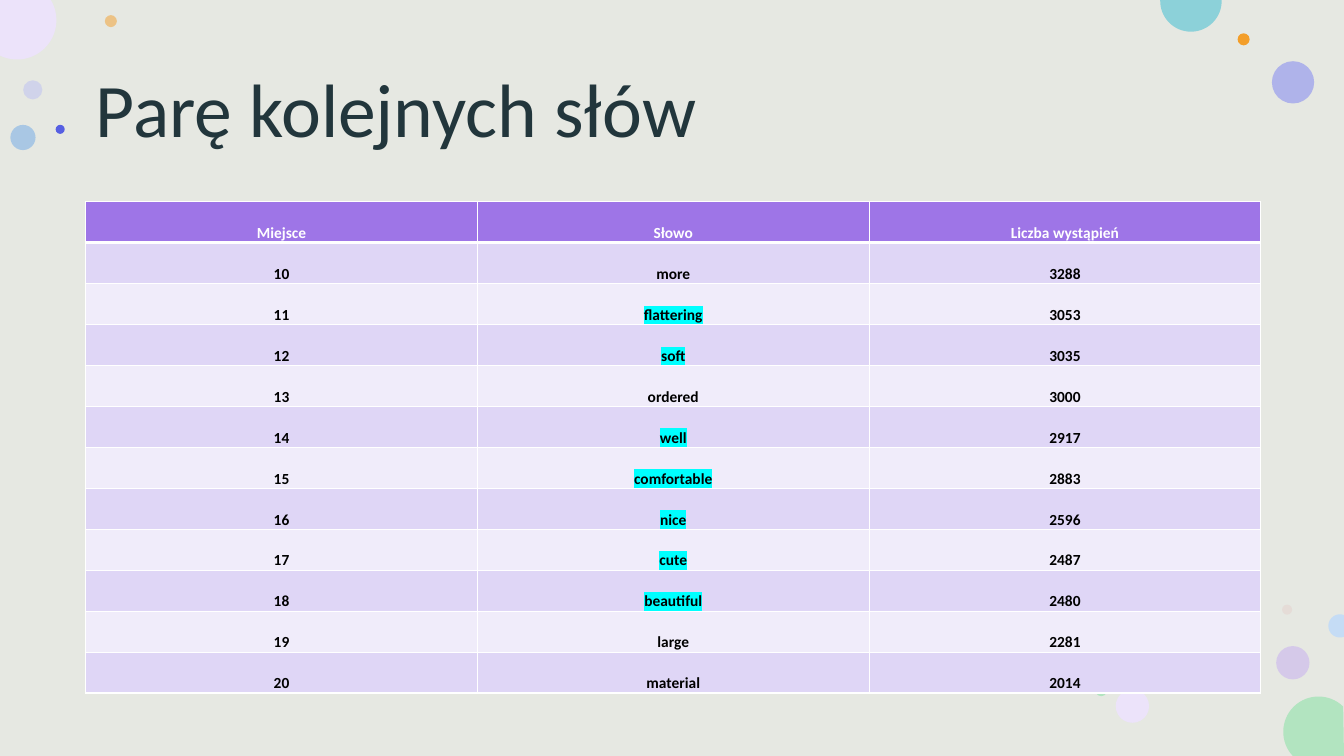
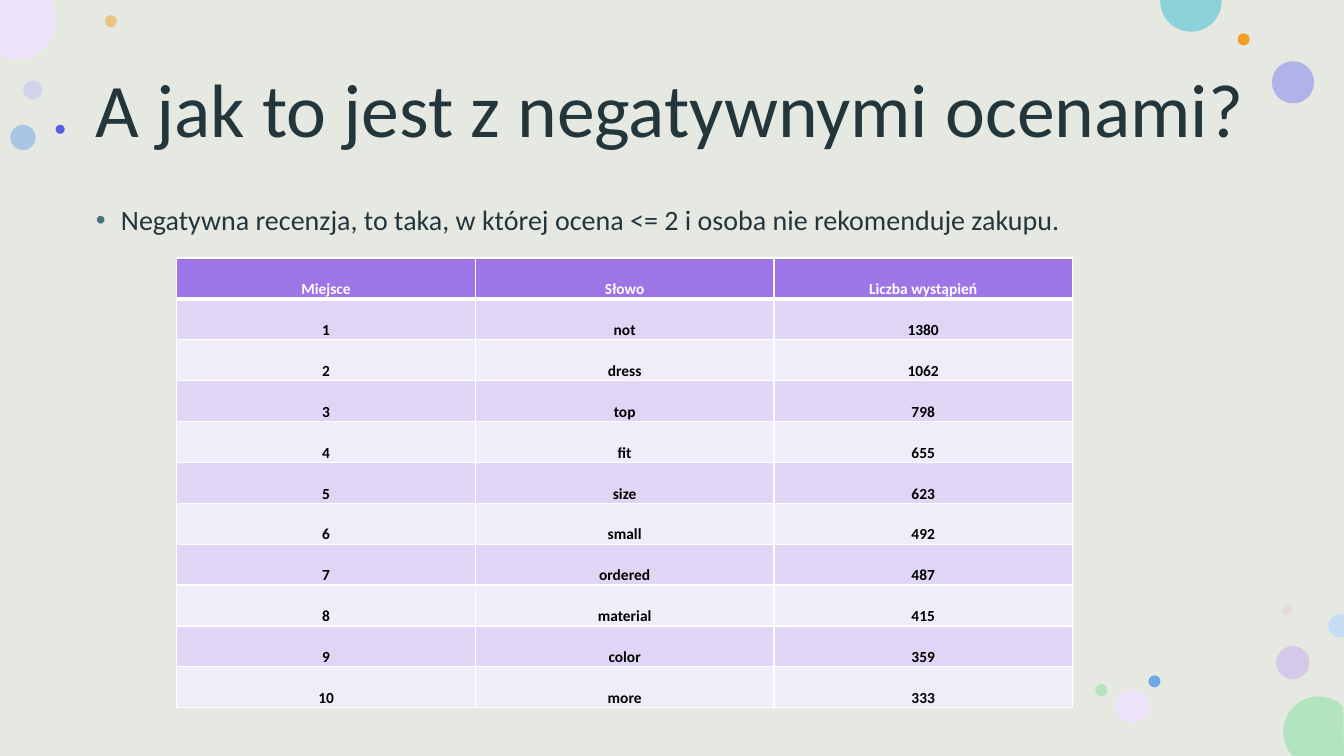
"""Build two slides of word counts on a shared background of bubbles."""
from dataclasses import dataclass
from math import cos, pi, radians, sin, tan

from lxml import etree
from pptx import Presentation
from pptx.dml.color import RGBColor
from pptx.enum import shapes, text
from pptx.oxml import ns
from pptx.util import Pt


@dataclass(frozen=True)
class Theme:
    font: str = "Calibri"
    title_size: int = 54
    body_size: int = 20
    cell_size: int = 11
    background: str = "E6E8E2"
    ink: str = "22363C"
    bullet: str = "48727E"
    header: str = "9E75E7"
    bands: tuple = ("DFD6F6", "F0ECFA")
    rule: str = "FFFFFF"
    header_text: str = "FFFFFF"
    cell_text: str = "000000"
    highlight: str = "00FFFF"


THEME = Theme()
WIDTH, HEIGHT = 960, 540
TITLE_BOX = (61.2, 28.8, 839.5, 104.4)
BODY_BOX = (61.2, 144, 839.5, 342.7)
TITLE_AND_BODY, TITLE_ONLY = 1, 5

# centre x, centre y, diameter, colour, opacity in percent
BUBBLES = [
    (23.4, 64.2, 13.7, "BBBFF3", 50),
    (79.2, 15.1, 8.6, "F39E29", 50),
    (923.5, 473.4, 23.8, "C5ACF1", 50),
    (16.4, 98.2, 18, "6EA8E6", 50),
    (923.6, 58.8, 30.2, "9A9FEE", 72),
    (888.3, 28.1, 8.6, "F39E29", 100),
    (919.4, 435.5, 7.2, "E3BEBE", 28),
    (824.6, 486.7, 8.6, "6EA8E6", 100),
    (808.9, 504.4, 23.8, "ECE3FA", 100),
    (786.6, 493, 8.6, "B2E4C0", 100),
    (43, 92.4, 6.5, "565FE2", 100),
]
# centre x, centre y, diameter, colour, first and last angle of the arc, corner it reaches
EDGE_BUBBLES = [
    (941.8, 522.7, 50.4, "B2E4C0", 136.7, 314.4, [(WIDTH, HEIGHT)]),
    (12.2, 14.4, 56.2, "ECE3FA", -30.9, 115.8, [(0, 0)]),
    (850.7, 0.7, 43.9, "8CD1D9", -1.8, 181.8, []),
    (957.1, 447.1, 16.6, "C5DCF5", 69.6, 290.4, []),
]

HEADINGS = ("Miejsce", "Słowo", "Liczba wystąpień")
SLIDES = [
    {
        "title": "Parę kolejnych słów",
        "first_place": 10,
        "counts": [
            ("more", 3288), ("flattering", 3053), ("soft", 3035), ("ordered", 3000),
            ("well", 2917), ("comfortable", 2883), ("nice", 2596), ("cute", 2487),
            ("beautiful", 2480), ("large", 2281), ("material", 2014),
        ],
        "highlighted": {"flattering", "soft", "well", "comfortable", "nice", "cute", "beautiful"},
        "table_at": (61.2, 144, 839.5, 351.2),
    },
    {
        "title": "A jak to jest z negatywnymi ocenami?",
        "body": "Negatywna recenzja, to taka, w której ocena <= 2 i osoba nie rekomenduje zakupu.",
        "first_place": 1,
        "counts": [
            ("not", 1380), ("dress", 1062), ("top", 798), ("fit", 655), ("size", 623),
            ("small", 492), ("ordered", 487), ("material", 415), ("color", 359), ("more", 333),
        ],
        "highlighted": set(),
        "table_at": (126.3, 184.3, 639.8, 321.2),
    },
]


def rgb(colour):
    """Turn a hex string into a colour."""
    return RGBColor.from_string(colour)


def add_xml(parent, tag, **attributes):
    """Append a drawing element to a parent."""
    names = {name: str(value) for name, value in attributes.items()}
    return etree.SubElement(parent, ns.qn(f"a:{tag}"), names)


def format_run(paragraph, size, colour, bold=False):
    """Give the only run of a paragraph its type."""
    font = paragraph.runs[0].font
    font.size, font.bold, font.name = Pt(size), bold, THEME.font
    font.color.rgb = rgb(colour)


def fill_placeholder(placeholder, words, box, size, anchor):
    """Place a placeholder, set its words and return the paragraph."""
    placeholder.left, placeholder.top, placeholder.width, placeholder.height = map(Pt, box)
    frame = placeholder.text_frame
    frame.text = words
    frame.word_wrap, frame.auto_size = True, text.MSO_AUTO_SIZE.NONE
    frame.vertical_anchor = anchor
    paragraph = frame.paragraphs[0]
    paragraph.alignment, paragraph.line_spacing = text.PP_ALIGN.LEFT, 0.9
    format_run(paragraph, size, THEME.ink)
    return paragraph


def add_bullet(paragraph):
    """Give a paragraph a hanging, coloured bullet."""
    paragraph.space_before = Pt(10)
    properties = paragraph._p.get_or_add_pPr()
    properties.set("marL", str(Pt(18)))
    properties.set("indent", str(-Pt(18)))
    add_xml(add_xml(properties, "buClr"), "srgbClr", val=THEME.bullet)
    add_xml(properties, "buFont", typeface="Arial")
    add_xml(properties, "buChar", char="•")


def paint(shape, colour, opacity=100):
    """Fill a shape with one colour and drop its line and shadow."""
    shape.shadow.inherit = False
    shape.line.fill.background()
    shape.fill.solid()
    shape.fill.fore_color.rgb = rgb(colour)
    if opacity < 100:
        solid = shape._element.spPr.find(ns.qn("a:solidFill"))
        add_xml(solid[0], "alpha", val=opacity * 1000)


def add_bubble(group, x, y, diameter, colour, opacity):
    """Draw a whole circle."""
    corner = Pt(x - diameter / 2), Pt(y - diameter / 2)
    bubble = group.shapes.add_shape(shapes.MSO_SHAPE.OVAL, *corner, Pt(diameter), Pt(diameter))
    paint(bubble, colour, opacity)


def add_edge_bubble(group, x, y, diameter, colour, first, last, corners):
    """Draw a circle cut off by the slide edge, its arc made of two curves."""
    radius, start, half = diameter / 2, radians(first), radians(last - first) / 2

    def on_arc(angle, handle=0.0):
        return (x + radius * (cos(angle) - handle * sin(angle)),
                y + radius * (sin(angle) + handle * cos(angle)))

    middle, end = start + half, start + 2 * half
    quarters = [step * pi / 2 for step in range(-1, 5) if start < step * pi / 2 < end]
    across, down = zip(*map(on_arc, [start, *quarters, end]), *corners) if not corners else zip(
        *[on_arc(angle) for angle in [start, *quarters, end]], *corners)
    left, right = max(min(across), 0), min(max(across), WIDTH)
    top, bottom = max(min(down), 0), min(max(down), HEIGHT)
    builder = group.shapes.build_freeform(Pt(left), Pt(top))
    builder.add_line_segments([(Pt(right), Pt(top)), (Pt(right), Pt(bottom)),
                               (Pt(left), Pt(bottom))], close=True)
    bubble = builder.convert_to_shape()

    outline = bubble._element.spPr.find(f".//{ns.qn('a:path')}")
    for step in list(outline):
        outline.remove(step)

    def add_step(tag, *points):
        step = add_xml(outline, tag)
        for across_to, down_to in points:
            add_xml(step, "pt", x=Pt(across_to - left), y=Pt(down_to - top))

    handle = 4 / 3 * tan(half / 4)
    add_step("moveTo", on_arc(start))
    for begin, finish in ((start, middle), (middle, end)):
        add_step("cubicBezTo", on_arc(begin, handle), on_arc(finish, -handle), on_arc(finish))
    for corner in corners:
        add_step("lnTo", corner)
    add_step("close")
    paint(bubble, colour)


def decorate_master(master, slide):
    """Move the backdrop and the bubbles behind the master's placeholders."""
    backdrop = slide.shapes.add_shape(shapes.MSO_SHAPE.RECTANGLE, 0, 0, Pt(WIDTH), Pt(HEIGHT))
    paint(backdrop, THEME.background)
    group = slide.shapes.add_group_shape()
    for bubble in BUBBLES:
        add_bubble(group, *bubble)
    for bubble in EDGE_BUBBLES:
        add_edge_bubble(group, *bubble)
    for index, part in enumerate((backdrop, group)):
        master.shapes.element.insert(2 + index, part._element)
    for number, label in enumerate(master.shapes.element.iter(ns.qn("p:cNvPr")), 1):
        label.set("id", str(number))


def format_cell(cell, words, row, highlighted):
    """Fill one table cell with its text, rules and band."""
    properties = cell._tc.get_or_add_tcPr()
    weights = {"L": 1, "R": 1, "T": 3 if row == 1 else 1, "B": 3 if row == 0 else 1}
    for side, weight in weights.items():
        rule = add_xml(properties, f"ln{side}", w=Pt(weight))
        add_xml(add_xml(rule, "solidFill"), "srgbClr", val=THEME.rule)
    cell.fill.solid()
    cell.fill.fore_color.rgb = rgb(THEME.bands[(row - 1) % 2] if row else THEME.header)
    cell.margin_left = cell.margin_right = cell.margin_top = Pt(0.75)
    cell.margin_bottom = 0
    cell.vertical_anchor = text.MSO_ANCHOR.BOTTOM
    cell.text_frame.text = words
    paragraph = cell.text_frame.paragraphs[0]
    paragraph.alignment = text.PP_ALIGN.CENTER
    format_run(paragraph, THEME.cell_size, THEME.cell_text if row else THEME.header_text, True)
    if highlighted:
        run_properties = paragraph.runs[0]._r.get_or_add_rPr()
        highlight = add_xml(run_properties, "highlight")
        add_xml(highlight, "srgbClr", val=THEME.highlight)
        run_properties.find(ns.qn("a:solidFill")).addnext(highlight)


def add_ranking(slide, content):
    """Add the table of places, words and counts."""
    places = enumerate(content["counts"], content["first_place"])
    rows = [HEADINGS] + [(str(place), word, str(count)) for place, (word, count) in places]
    box = map(Pt, content["table_at"])
    ranking = slide.shapes.add_table(len(rows), len(HEADINGS), *box).table
    for row, values in enumerate(rows):
        for column, words in enumerate(values):
            format_cell(ranking.cell(row, column), words, row, words in content["highlighted"])


def main():
    """Build and save the presentation."""
    deck = Presentation()
    deck.slide_width, deck.slide_height = Pt(WIDTH), Pt(HEIGHT)
    for number, content in enumerate(SLIDES):
        layout = TITLE_AND_BODY if "body" in content else TITLE_ONLY
        slide = deck.slides.add_slide(deck.slide_layouts[layout])
        if number == 0:
            decorate_master(deck.slide_master, slide)
        fill_placeholder(slide.shapes.title, content["title"], TITLE_BOX,
                         THEME.title_size, text.MSO_ANCHOR.MIDDLE)
        if "body" in content:
            add_bullet(fill_placeholder(slide.placeholders[1], content["body"], BODY_BOX,
                                        THEME.body_size, text.MSO_ANCHOR.TOP))
        add_ranking(slide, content)
    deck.save("out.pptx")


if __name__ == "__main__":
    main()
